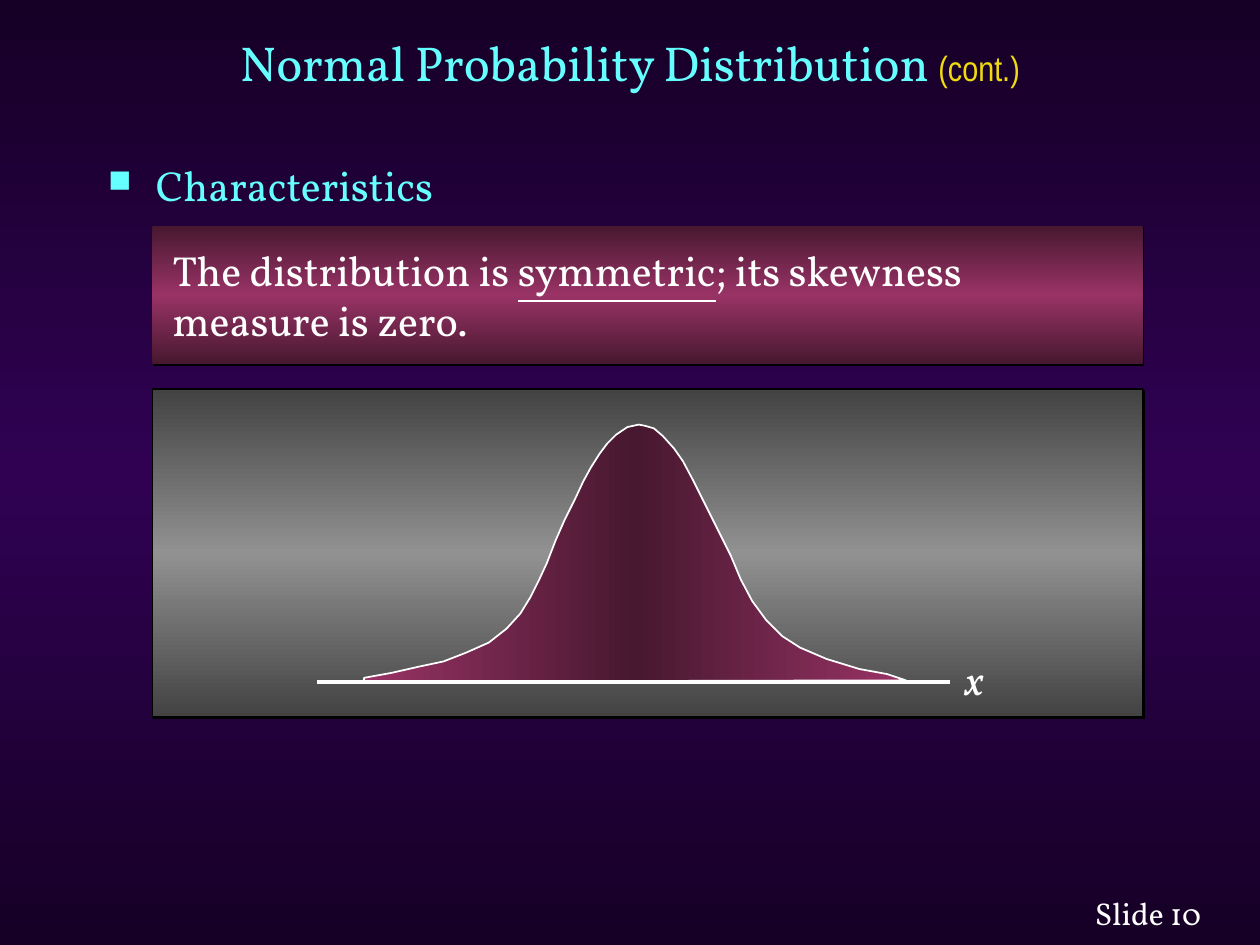
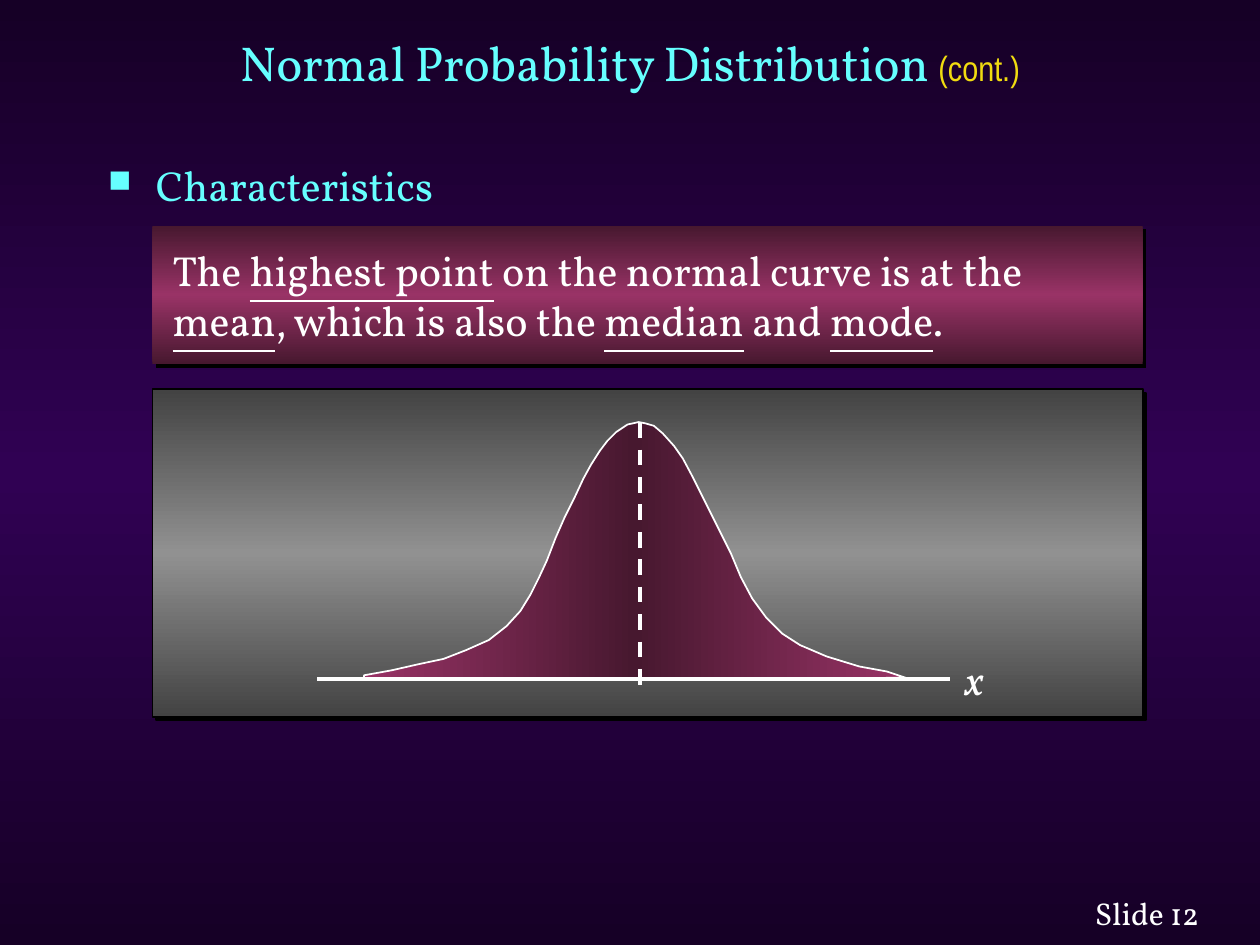
from copy import deepcopy
from pptx import Presentation
from pptx.dml.color import RGBColor
from pptx.enum.dml import MSO_LINE
from pptx.enum.shapes import MSO_CONNECTOR, MSO_SHAPE
from pptx.enum.text import MSO_ANCHOR, PP_ALIGN
from pptx.oxml.ns import qn
from pptx.oxml.xmlchemy import OxmlElement
from pptx.util import Inches, Pt

# Content: underlined words stand between bars
TITLE = [("Normal Probability Distribution ", 28, "Vollkorn", "aqua"),
         ("(cont.)", 20, "Arial Narrow", "gold")]
SLIDES = [
    dict(num="10", claim=["The distribution is |symmetric|; its skewness",
                          "measure is zero."],
         lift=0, depth=1.4, mean=False),
    dict(num="12", claim=["The |highest point| on the normal curve is at the",
                          "|mean|, which is also the |median| and |mode|."],
         lift=0.02, depth=2.8, mean=True),
]

# Bell outline in hundredths of an inch: peak, left tail, base, right tail
BELL = [(507, 337), (498, 339), (489, 345), (482, 352), (476, 360), (469, 371),
        (463, 382), (456, 397), (448, 413), (441, 429), (434, 447), (428, 460),
        (421, 474), (413, 487), (402, 499), (388, 510), (370, 518), (352, 525),
        (333, 529), (311, 534), (289, 538), (289, 541), (719, 540), (704, 535),
        (682, 531), (656, 523), (635, 514), (621, 505), (608, 492), (597, 477),
        (588, 460), (580, 441), (571, 423), (560, 401), (550, 381), (542, 366),
        (535, 356), (526, 346), (519, 340), (512, 338)]

# Shared look
HUES = dict(night="160026", violet="300153", aqua="66FFFF", gold="F0DB10",
            white="FFFFFF", black="000000", plum="47182F", rose="993366",
            coal="434343", ash="919191")
WIDE, HIGH = 10, 7.5
LEFT, SPAN = 1.21, 7.86
PEAK, BASE = 3.37, 5.41


def hue(name):
    return RGBColor.from_string(HUES[name])


def blend(root, fill, edge, mid, angle=90):
    """Three-stop gradient: edge, mid, edge."""
    fill.gradient()
    fill.gradient_angle = angle
    stops = next(root.iter(qn("a:gsLst")))
    stops.append(deepcopy(stops[0]))
    for i, (stop, name) in enumerate(zip(fill.gradient_stops, (edge, mid, edge))):
        stop.color.rgb = hue(name)
        stop.position = i / 2


def node(tag, **attrs):
    item = OxmlElement(tag)
    for key, val in attrs.items():
        item.set(key, str(val))
    return item


def write(para, text, size=24, font="Vollkorn", color="white"):
    run = para.add_run()
    run.text = text
    run.font.size, run.font.name = Pt(size), font
    run.font.color.rgb = hue(color)
    return run


def label(slide, x, y, w, h, wrap=True):
    frame = slide.shapes.add_textbox(*map(Inches, (x, y, w, h))).text_frame
    frame.word_wrap = wrap
    return frame


def panel(slide, y, h, edge, mid, depth):
    box = slide.shapes.add_shape(MSO_SHAPE.RECTANGLE,
                                 *map(Inches, (LEFT, y, SPAN, h)))
    blend(box._element, box.fill, edge, mid)
    box.line.fill.background()
    box.shadow.inherit = False
    cast = node("a:outerShdw", dist=int(Pt(depth)), dir=2700000,
                algn="ctr", rotWithShape=0)
    cast.append(node("a:srgbClr", val=HUES["black"]))
    box._element.spPr.find(qn("a:effectLst")).append(cast)
    return box


def rule(slide, x1, y1, x2, y2):
    line = slide.shapes.add_connector(MSO_CONNECTOR.STRAIGHT,
                                      *map(Inches, (x1, y1, x2, y2)))
    line.line.color.rgb = hue("white")
    line.line.width = Pt(2.25)
    line._element.spPr.append(node("a:effectLst"))
    return line


def frame_up(slide, num):
    """Background, footer, title and heading."""
    blend(slide._element, slide.background.fill, "night", "violet")
    foot = label(slide, 8.59, 7.05, 1.25, 0.4)
    write(foot.paragraphs[0], f"Slide {num}", 18)

    title = label(slide, 0.75, 0.12, WIDE - 1.5, 0.75)
    title.vertical_anchor = MSO_ANCHOR.MIDDLE
    title.paragraphs[0].alignment = PP_ALIGN.CENTER
    for part in TITLE:
        write(title.paragraphs[0], *part)

    head = label(slide, 0.76, 1.22, 3.7, 0.57).paragraphs[0]
    props = head._p.get_or_add_pPr()
    props.set("marL", str(Inches(0.38)))
    props.set("indent", str(-Inches(0.38)))
    tint = node("a:buClr")
    tint.append(node("a:srgbClr", val=HUES["aqua"]))
    for item in (tint, node("a:buSzPct", val=75000), node("a:buChar", char="■")):
        props.append(item)
    write(head, "Characteristics", color="aqua")


def state(slide, lines, depth):
    """Claim on the rose band."""
    frame = panel(slide, 1.79, 1.1, "plum", "rose", depth).text_frame
    frame.word_wrap = True
    frame.vertical_anchor = MSO_ANCHOR.MIDDLE
    frame.margin_left = Inches(0.16)
    for i, line in enumerate(lines):
        para = frame.add_paragraph() if i else frame.paragraphs[0]
        para.alignment = PP_ALIGN.LEFT
        for j, bit in enumerate(line.split("|")):
            if bit:
                write(para, bit).font.underline = j % 2 == 1


def plot(slide, lift, mean):
    """Bell curve, mean line and axis."""
    pts = [(x, y - lift * 100) for x, y in BELL]
    pen = slide.shapes.build_freeform(*pts[0], scale=Inches(0.01))
    pen.add_line_segments(pts[1:], close=True)
    bell = pen.convert_to_shape()
    blend(bell._element, bell.fill, "rose", "plum", 0)
    bell.line.color.rgb = hue("white")
    bell.line.width = Pt(1)
    bell.shadow.inherit = False
    if mean:
        rule(slide, 5.08, PEAK - lift, 5.08, 5.48).line.dash_style = MSO_LINE.DASH
    axis = label(slide, 7.55, 5.14, 0.37, 0.5, wrap=False).paragraphs[0]
    axis.alignment = PP_ALIGN.CENTER
    write(axis, "x").font.italic = True
    rule(slide, 2.52, BASE - lift, 7.54, BASE - lift)


def main():
    deck = Presentation()
    deck.slide_width, deck.slide_height = Inches(WIDE), Inches(HIGH)
    for page in SLIDES:
        slide = deck.slides.add_slide(deck.slide_layouts[6])
        frame_up(slide, page["num"])
        board = panel(slide, 3.09, 2.6, "coal", "ash", page["depth"])
        board.line.color.rgb = hue("black")
        board.line.width = Pt(1)
        state(slide, page["claim"], page["depth"])
        plot(slide, page["lift"], page["mean"])
    deck.save("out.pptx")


if __name__ == "__main__":
    main()
